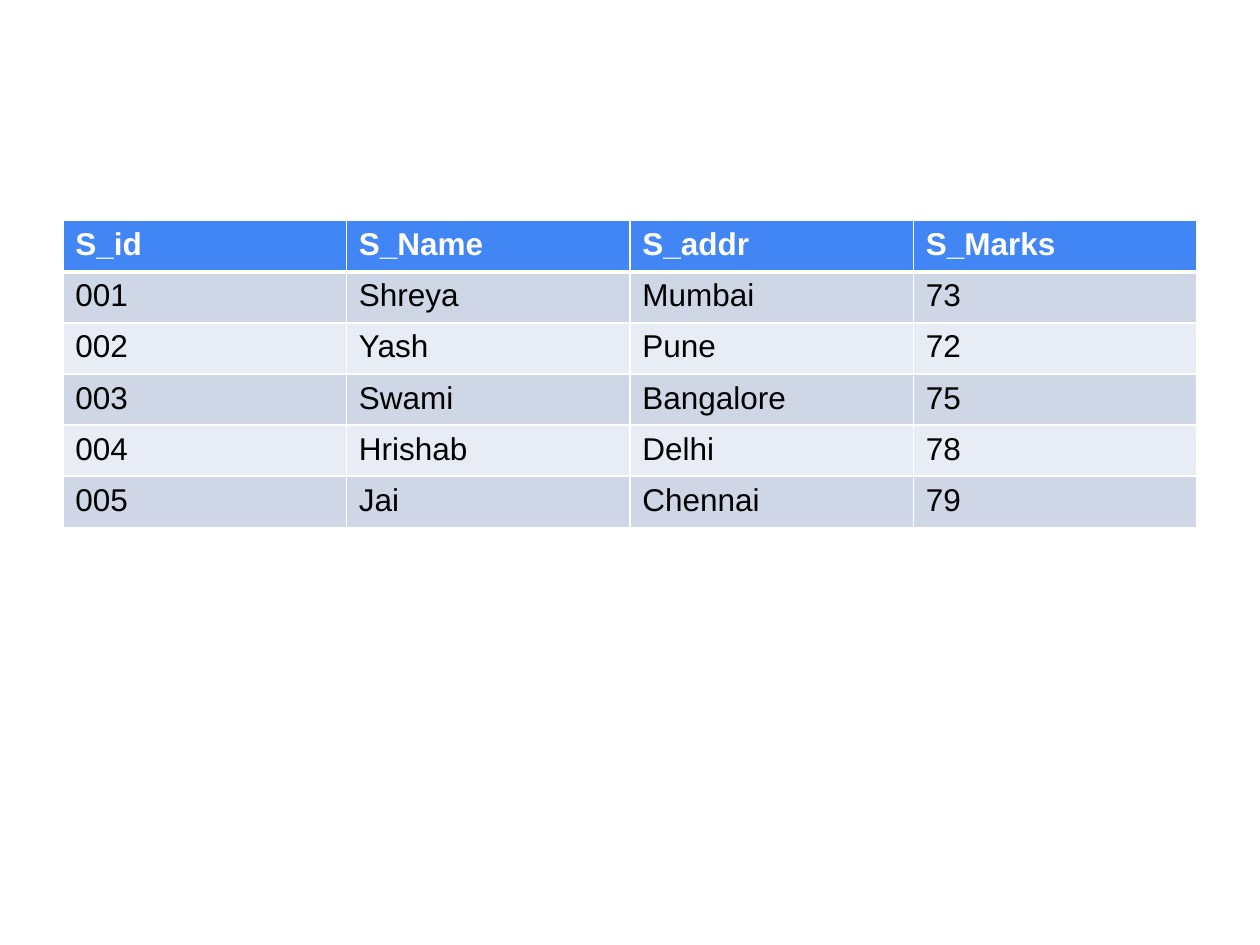
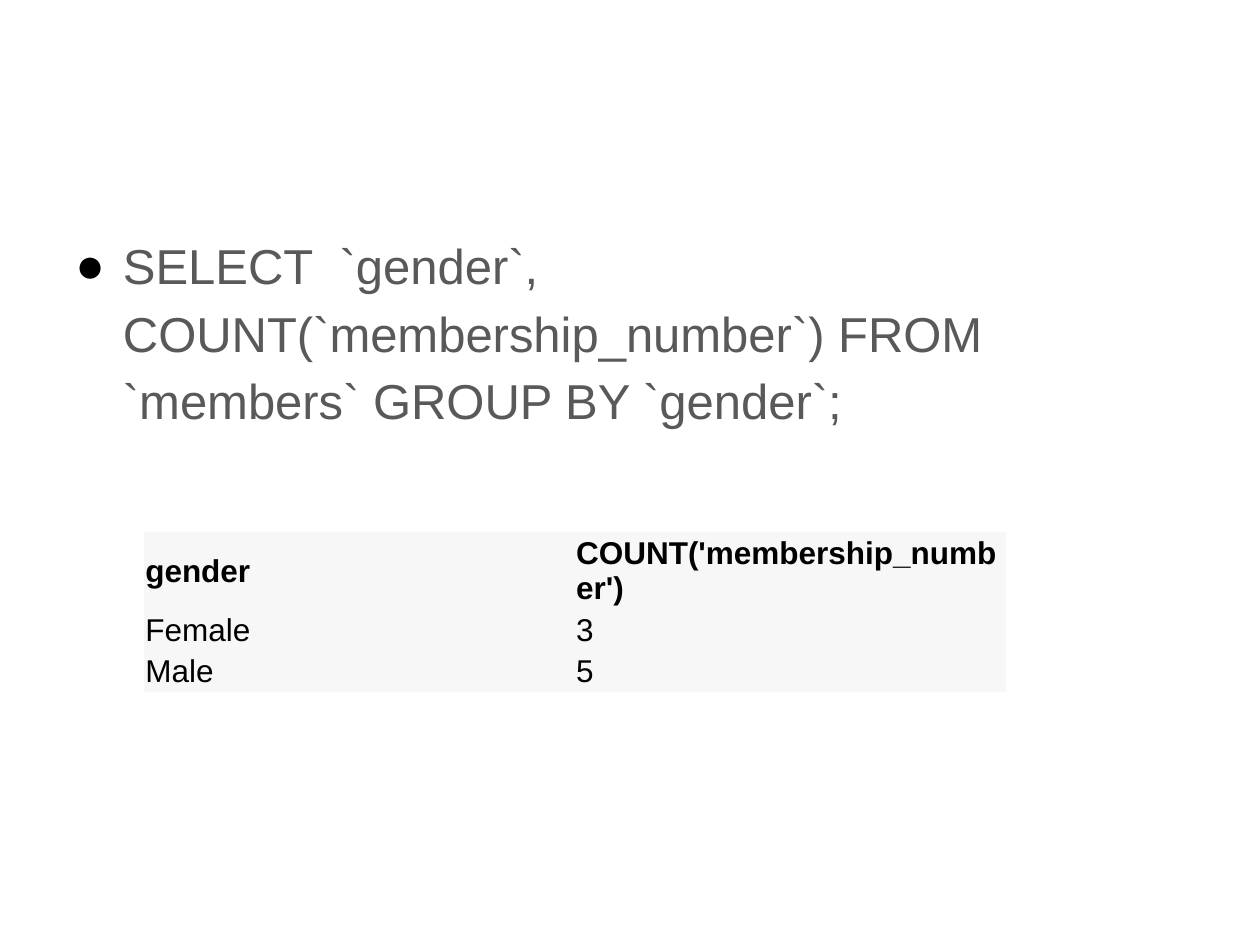
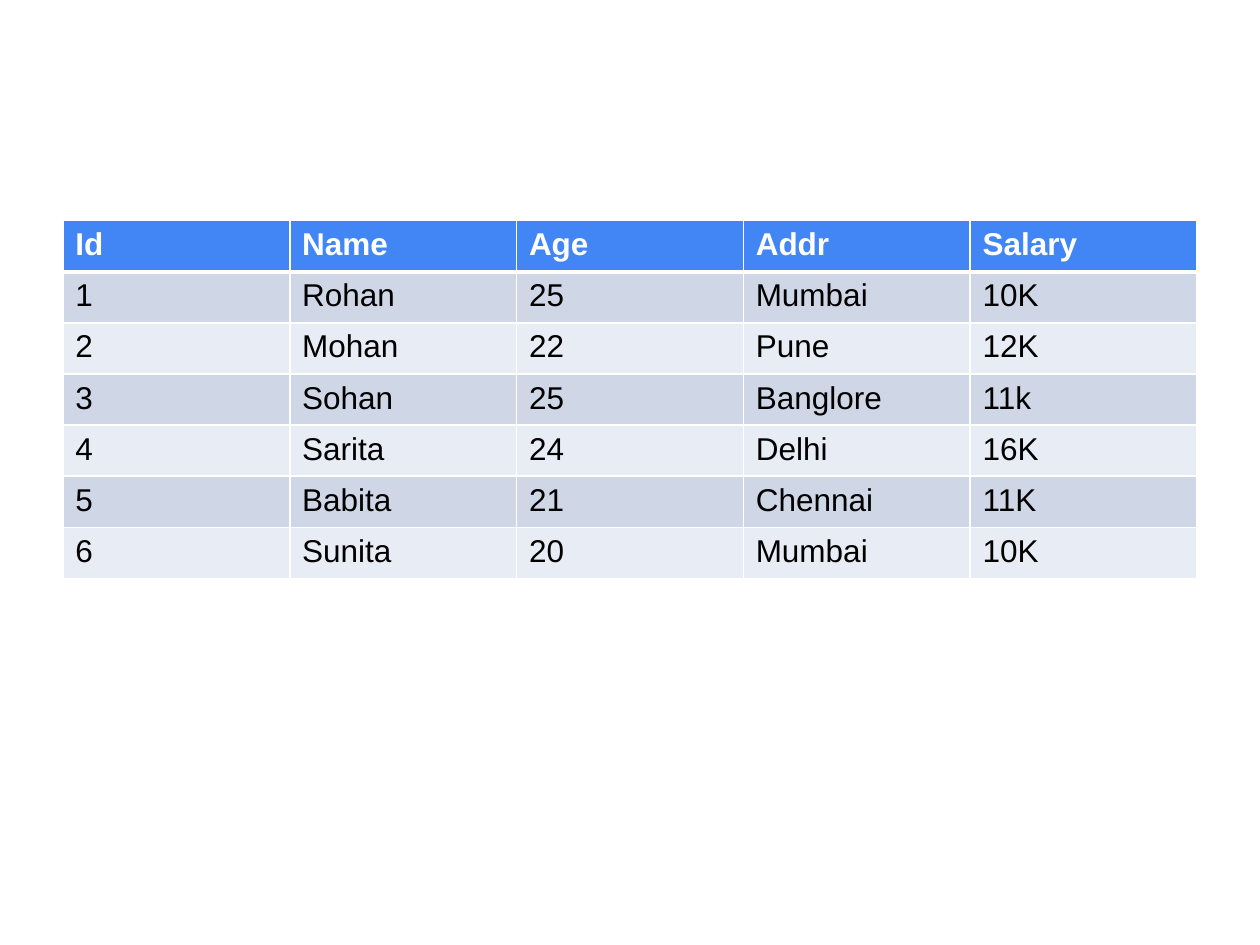
from lxml import etree
from pptx import Presentation
from pptx.dml.color import RGBColor
from pptx.enum.text import MSO_ANCHOR
from pptx.oxml.ns import qn
from pptx.util import Cm, Pt

TOP, MIDDLE = MSO_ANCHOR.TOP, MSO_ANCHOR.MIDDLE
FONT = "Arial"
COLORS = {
    "header": "4285F4",
    "odd": "CFD7E7",
    "even": "E8ECF4",
    "plain": "F7F7F7",
    "white": "FFFFFF",
    "black": "000000",
    "query": "595959",
}


def add_border(cell, side, width):
    line = etree.SubElement(cell._tc.get_or_add_tcPr(), qn(f"a:{side}"), w=str(Pt(width)))
    if width:
        fill = etree.SubElement(line, qn("a:solidFill"))
        etree.SubElement(fill, qn("a:srgbClr"), val=COLORS["white"])
    else:
        etree.SubElement(line, qn("a:noFill"))


def add_grid(page, rows, left, top, width, row_height, banded):
    columns = len(rows[0])
    frame = page.shapes.add_table(len(rows), columns, Cm(left), Cm(top),
                                  Cm(width), Cm(row_height * len(rows)))
    table = frame.table
    table.first_row = table.horz_banding = banded
    for column in table.columns:
        column.width = Cm(width / columns)
    for row_index, values in enumerate(rows):
        table.rows[row_index].height = Cm(row_height)
        is_header = row_index == 0
        if not banded:
            fill = "plain"
        elif is_header:
            fill = "header"
        else:
            fill = "odd" if row_index % 2 else "even"
        thin, thick = (1, 3) if banded else (0, 0)
        borders = {
            "lnL": thin,
            "lnR": thin,
            "lnT": thick if row_index == 1 else thin,
            "lnB": thick if is_header else thin,
        }
        for column_index, value in enumerate(values):
            cell = table.cell(row_index, column_index)
            for side, line_width in borders.items():
                add_border(cell, side, line_width)
            cell.fill.solid()
            cell.fill.fore_color.rgb = RGBColor.from_string(COLORS[fill])
            cell.margin_left = cell.margin_right = Cm(0.25 if banded else 0.03)
            cell.margin_top = cell.margin_bottom = Cm(0.13 if banded else 0.03)
            cell.vertical_anchor = TOP if banded else MIDDLE
            cell.text_frame.text = value
            font = cell.text_frame.paragraphs[0].runs[0].font
            font.name = FONT
            font.size = Pt(18)
            font.bold = is_header
            text_color = "white" if banded and is_header else "black"
            font.color.rgb = RGBColor.from_string(COLORS[text_color])


deck = Presentation()
deck.slide_width = Cm(25.4)
deck.slide_height = Cm(19.05)
blank = deck.slide_layouts[6]
BANDED_PLACE = {"left": 1.27, "top": 4.45, "width": 22.86, "row_height": 1.03, "banded": True}

students = [
    ("S_id", "S_Name", "S_addr", "S_Marks"),
    ("001", "Shreya", "Mumbai", "73"),
    ("002", "Yash", "Pune", "72"),
    ("003", "Swami", "Bangalore", "75"),
    ("004", "Hrishab", "Delhi", "78"),
    ("005", "Jai", "Chennai", "79"),
]
page = deck.slides.add_slide(blank)
add_grid(page, students, **BANDED_PLACE)

page = deck.slides.add_slide(blank)
box = page.shapes.add_textbox(Cm(1.27), Cm(4.45), Cm(22.86), Cm(12.57))
box.text_frame.word_wrap = True
box.text_frame.text = "SELECT  `gender`, COUNT(`membership_number`) FROM `members` GROUP BY `gender`;"
para = box.text_frame.paragraphs[0]
properties = para._p.get_or_add_pPr()
properties.set("marL", str(Cm(0.96)))
properties.set("indent", str(Cm(-0.96)))
bullet_color = etree.SubElement(properties, qn("a:buClr"))
etree.SubElement(bullet_color, qn("a:srgbClr"), val=COLORS["black"])
etree.SubElement(properties, qn("a:buFont"), typeface=FONT)
etree.SubElement(properties, qn("a:buChar"), char="●")
para.line_spacing = 1.15
span = para.runs[0]
span.font.name = FONT
span.font.size = Pt(28)
span.font.color.rgb = RGBColor.from_string(COLORS["query"])

gender_counts = [
    ("gender", "COUNT('membership_number')"),
    ("Female", "3"),
    ("Male", "5"),
]
add_grid(page, gender_counts, left=2.9, top=10.72, width=17.37, row_height=0.64, banded=False)

employees = [
    ("Id", "Name", "Age", "Addr", "Salary"),
    ("1", "Rohan", "25", "Mumbai", "10K"),
    ("2", "Mohan", "22", "Pune", "12K"),
    ("3", "Sohan", "25", "Banglore", "11k"),
    ("4", "Sarita", "24", "Delhi", "16K"),
    ("5", "Babita", "21", "Chennai", "11K"),
    ("6", "Sunita", "20", "Mumbai", "10K"),
]
page = deck.slides.add_slide(blank)
add_grid(page, employees, **BANDED_PLACE)

deck.save("out.pptx")
